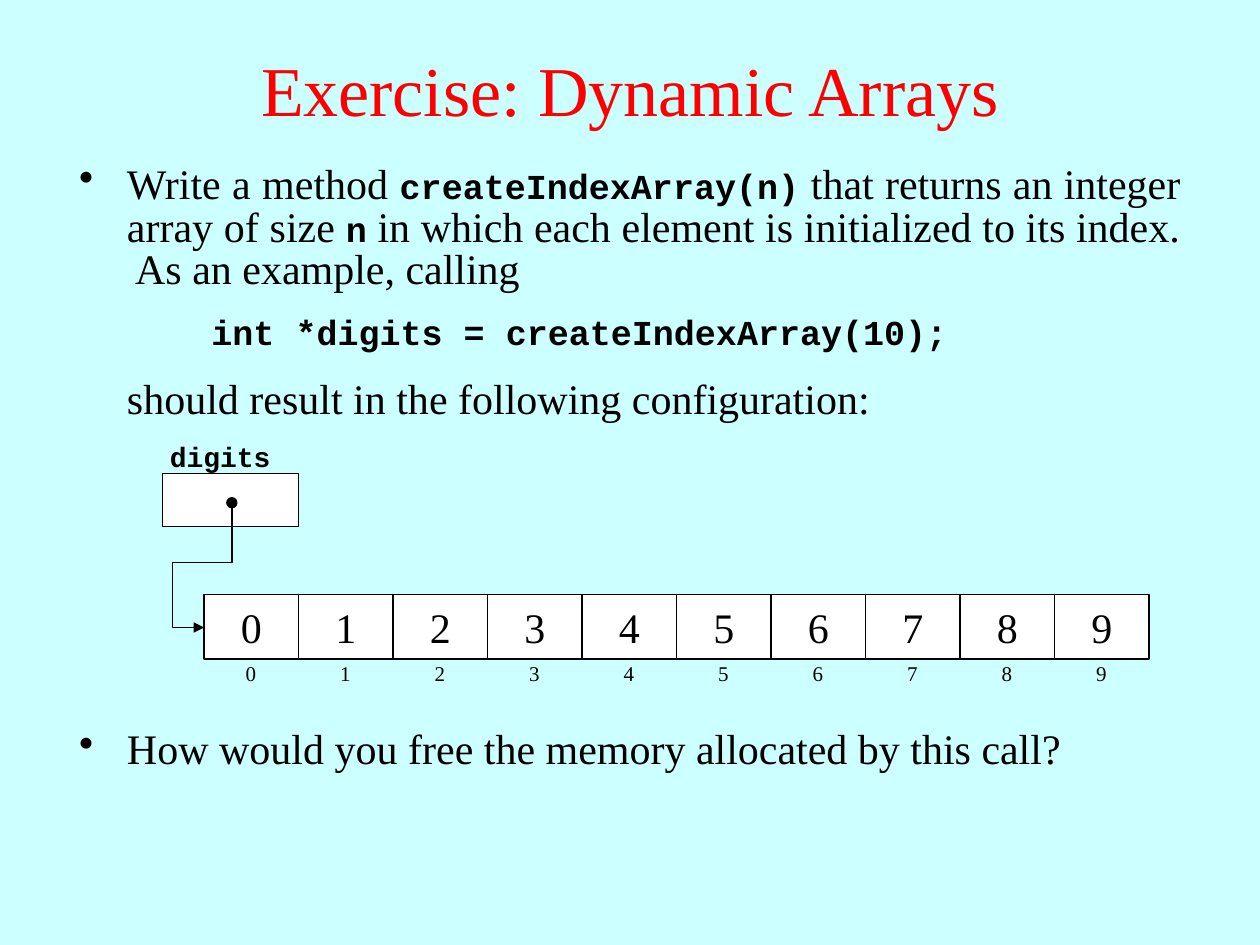
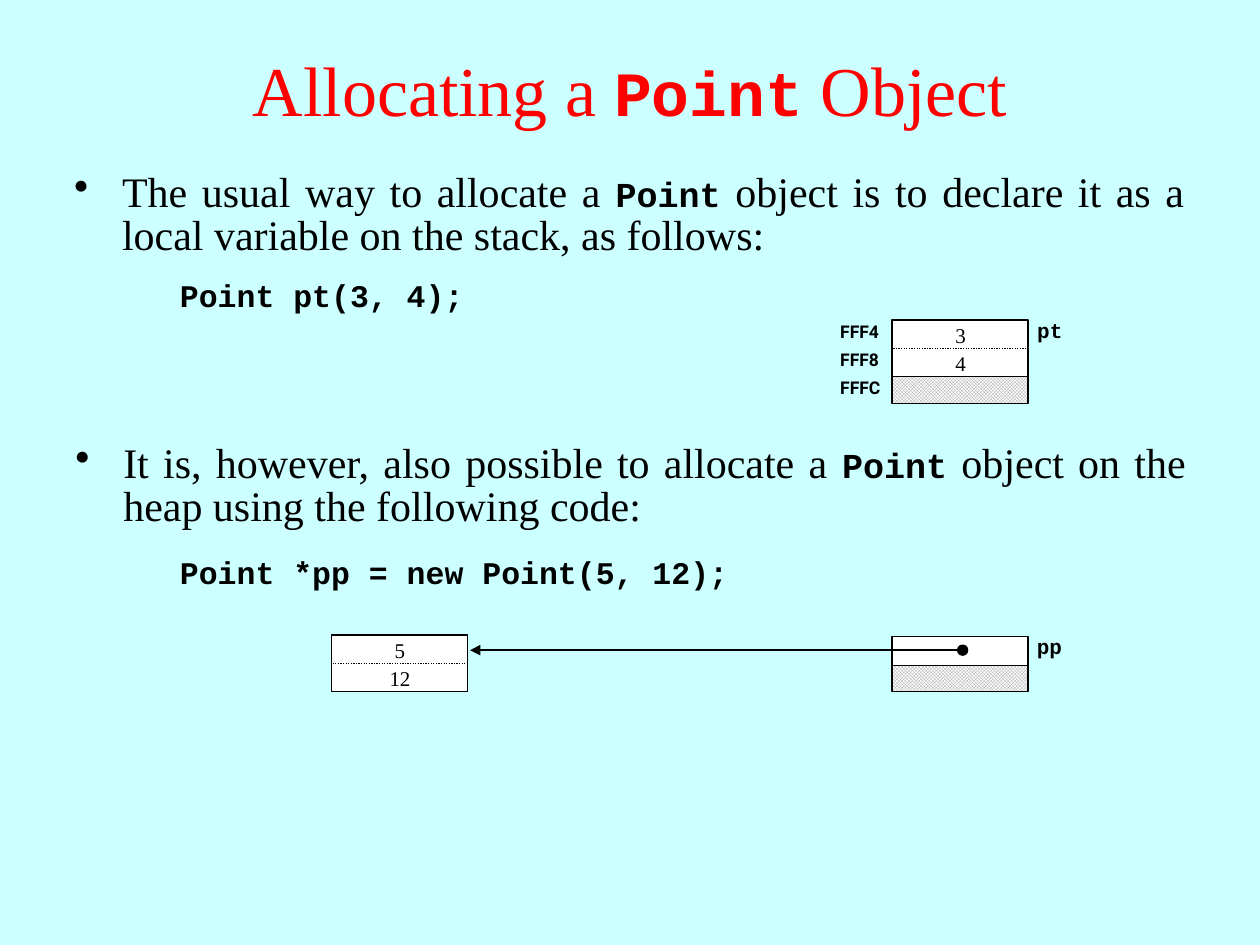
"""Build two lecture slides on dynamic arrays and object allocation."""
from dataclasses import dataclass

from lxml import etree
from pptx import Presentation, util as u
from pptx.dml.color import RGBColor
from pptx.enum import dml, shapes, text
from pptx.oxml.ns import qn


@dataclass(frozen=True)
class Theme:
    """Colours, fonts and type sizes of the deck."""
    background: str = "CCFFFF"
    title: str = "FF0000"
    ink: str = "000000"
    paper: str = "FFFFFF"
    hatch: str = "999999"
    serif: str = "Times New Roman"
    mono: str = "Courier New"
    address: str = "Roboto"
    title_size: int = 40
    title_code_size: int = 36
    body_size: int = 24
    code_size: int = 20
    short_code_size: int = 18
    name_size: int = 16
    label_size: int = 12
    address_size: int = 10
    line_width: float = 0.75
    line_spacing: float = 0.85


class Deck:
    """Draws on the current slide, measured on a 100 by 75 grid."""

    columns, rows = 100, 75

    def __init__(self, theme):
        self.theme = theme
        self.presentation = Presentation()
        self.presentation.slide_width = u.Inches(10)
        self.presentation.slide_height = u.Inches(7.5)
        self.column = self.presentation.slide_width / self.columns
        self.row = self.presentation.slide_height / self.rows

    def place(self, x, y, width, height):
        return [round(x * self.column), round(y * self.row),
                round(width * self.column), round(height * self.row)]

    def new_slide(self, title):
        self.slide = self.presentation.slides.add_slide(self.presentation.slide_layouts[6])
        fill = self.slide.background.fill
        fill.solid()
        fill.fore_color.rgb = RGBColor.from_string(self.theme.background)
        frame = self.text_box(0, 0.8, self.columns, 12.5)
        frame.vertical_anchor = text.MSO_ANCHOR.MIDDLE
        frame.paragraphs[0].alignment = text.PP_ALIGN.CENTER
        self.mixed(frame.paragraphs[0], title, self.theme.title_size,
                   self.theme.title_code_size, self.theme.title)

    def text_box(self, x, y, width, height):
        frame = self.slide.shapes.add_textbox(*self.place(x, y, width, height)).text_frame
        frame.word_wrap = True
        return frame

    def style(self, font, face, size, bold=False, color=None):
        font.name, font.size, font.bold = face, u.Pt(size), bold
        font.color.rgb = RGBColor.from_string(color or self.theme.ink)

    def mixed(self, paragraph, words, size, code_size, color=None):
        """Add runs, setting the parts between backticks as code."""
        for number, part in enumerate(words.split("`")):
            run = paragraph.add_run()
            run.text = part
            if number % 2:
                self.style(run.font, self.theme.mono, code_size, True, color)
            else:
                self.style(run.font, self.theme.serif, size, False, color)

    def body(self, words, x, y, width, height, bullet=True):
        paragraph = self.text_box(x, y, width, height).paragraphs[0]
        properties = paragraph._p.get_or_add_pPr()
        hanging = u.Inches(0.38)
        properties.set("marL", str(hanging))
        properties.set("indent", str(-hanging if bullet else 0))
        if bullet:
            etree.SubElement(properties, qn("a:buChar")).set("char", "•")
        paragraph.alignment = text.PP_ALIGN.JUSTIFY
        paragraph.line_spacing = self.theme.line_spacing
        self.mixed(paragraph, words, self.theme.body_size, self.theme.code_size)

    def label(self, words, x, y, width, height, size, face=None,
              align=text.PP_ALIGN.LEFT, spacing=1.0):
        frame = self.text_box(x, y, width, height)
        frame.text = words
        paragraph = frame.paragraphs[0]
        paragraph.alignment, paragraph.line_spacing = align, spacing
        face = face or self.theme.mono
        self.style(paragraph.runs[0].font, face, size, face != self.theme.serif)

    def outline(self, line):
        line.color.rgb = RGBColor.from_string(self.theme.ink)
        line.width = u.Pt(self.theme.line_width)

    def shape(self, x, y, width, height, color, kind=shapes.MSO_SHAPE.RECTANGLE, lined=True):
        shape = self.slide.shapes.add_shape(kind, *self.place(x, y, width, height))
        shape.shadow.inherit = False
        shape.fill.solid()
        shape.fill.fore_color.rgb = RGBColor.from_string(color)
        if lined:
            self.outline(shape.line)
        else:
            shape.line.fill.background()
        return shape

    def cell(self, words, x, y, width, height, size, lined=True):
        frame = self.shape(x, y, width, height, self.theme.paper, lined=lined).text_frame
        frame.margin_left = frame.margin_right = frame.margin_top = frame.margin_bottom = 0
        frame.vertical_anchor = text.MSO_ANCHOR.MIDDLE
        frame.text = words
        paragraph = frame.paragraphs[0]
        paragraph.alignment = text.PP_ALIGN.CENTER
        self.style(paragraph.runs[0].font, self.theme.serif, size)

    def hatched(self, x, y, width, height):
        fill = self.shape(x, y, width, height, self.theme.paper).fill
        fill.patterned()
        fill.pattern = dml.MSO_PATTERN.SMALL_CHECKER_BOARD
        fill.fore_color.rgb = RGBColor.from_string(self.theme.hatch)
        fill.back_color.rgb = RGBColor.from_string(self.theme.paper)

    def dot(self, x, y):
        self.shape(x, y, 0.8, 0.8, self.theme.ink, shapes.MSO_SHAPE.OVAL)

    def line(self, x, y, end_x, end_y, dotted=False, arrow=False):
        connector = self.slide.shapes.add_connector(
            shapes.MSO_CONNECTOR.STRAIGHT, *self.place(x, y, end_x, end_y))
        self.outline(connector.line)
        if dotted:
            connector.line.dash_style = dml.MSO_LINE.ROUND_DOT
        if arrow:
            etree.SubElement(connector.line._get_or_add_ln(), qn("a:tailEnd")).set("type", "triangle")
        etree.SubElement(connector._element.spPr, qn("a:effectLst"))
        return connector

    def bent_arrow(self, x, y, end_x, end_y, bends):
        """Draw an arrow that leaves downwards and bends twice before its end."""
        across, down = x - end_x, end_y - y
        left, top = (x + end_x - down) / 2, (y + end_y - across) / 2
        properties = self.line(left, top, left + down, top + across, arrow=True)._element.spPr
        properties.find(qn("a:xfrm")).set("rot", str(90 * 60000))
        geometry = properties.find(qn("a:prstGeom"))
        geometry.set("prst", "bentConnector4")
        guides = geometry.find(qn("a:avLst"))
        if guides is None:
            guides = etree.SubElement(geometry, qn("a:avLst"))
        for number, bend in enumerate(bends, 1):
            guide = etree.SubElement(guides, qn("a:gd"))
            guide.set("name", f"adj{number}")
            guide.set("fmla", f"val {round(bend * 100000)}")

    def point(self, values, x, y):
        """Draw a two-field record with a dotted divider."""
        step = 2.2
        self.shape(x, y, 10.8, 4.5, self.theme.paper)
        self.line(x + 0.1, y + 2.25, x + 10.8, y + 2.25, dotted=True)
        for number, value in enumerate(values):
            self.cell(value, x + 0.3, y + 0.2 + number * step, 10.3, 2,
                      self.theme.label_size, lined=False)


def dynamic_arrays(deck):
    theme = deck.theme
    deck.new_slide("Exercise: Dynamic Arrays")
    left, width = 5.3, 89.4
    deck.body("Write a method `createIndexArray(n)` that returns an integer array of size `n` "
              "in which each element is initialized to its index.  As an example, calling",
              left, 12.6, width, 8.2)
    deck.label("int *digits = createIndexArray(10);", 15.8, 24.7, 70.8, 4,
               theme.code_size, spacing=theme.line_spacing)
    deck.body("should result in the following configuration:", left, 29.7, width, 5.2, bullet=False)
    pitch = 7.5
    for index in range(10):
        cell_left = 16.2 + index * pitch
        deck.label(str(index), cell_left + 0.8, 51.9, 5.8, 3, theme.label_size,
                   theme.serif, text.PP_ALIGN.CENTER)
        deck.cell(str(index), cell_left, 47.2, pitch, 5.1, theme.body_size)
    deck.shape(12.9, 37.6, 10.8, 4.2, theme.paper)
    deck.label("digits", 12.5, 34.4, 13.1, 3.7, theme.name_size)
    deck.dot(18, 39.5)
    deck.bent_arrow(18.4, 40.3, 16.2, 49.8, (0.46, 2.13))
    deck.body("How would you free the memory allocated by this call?", left, 57.5, width, 4.9)


def point_object(deck):
    theme = deck.theme
    deck.new_slide("Allocating a `Point` Object")
    stack, heap, cell_width, cell_height = 70.8, 26.3, 10.8, 2.2
    deck.body("The usual way to allocate a `Point` object is to declare it as a local variable "
              "on the stack, as follows:", 4.9, 13.3, 90.1, 10)
    deck.label("Point pt(3, 4);", 13.3, 21.4, 26.7, 4, theme.short_code_size)
    deck.hatched(stack, 29.8, cell_width, cell_height)
    deck.point(("3", "4"), stack, 25.4)
    for number, address in enumerate(("FFF4", "FFF8", "FFFC")):
        deck.label(address, 65.7, 25 + number * cell_height, 9.2, 2.7,
                   theme.address_size, theme.address)
    deck.label("pt", 76.1, 24.7, 9.2, 3, theme.label_size, align=text.PP_ALIGN.RIGHT)

    deck.body("It is, however, also possible to allocate a `Point` object on the heap "
              "using the following code:", 5, 34.8, 90.1, 10)
    deck.label("Point *pp = new Point(5, 12);", 13.3, 43.4, 46.7, 4, theme.short_code_size)
    deck.hatched(stack, 52.7, cell_width, cell_height)
    deck.shape(stack, 50.5, cell_width, 2.3, theme.paper)
    deck.label("pp", 81.3, 49.8, 9.2, 3, theme.label_size)
    deck.point(("5", "12"), heap, 50.4)
    deck.dot(76, 51.2)
    deck.line(76.3, 51.6, 37.3, 51.6, arrow=True)


def main():
    deck = Deck(Theme())
    dynamic_arrays(deck)
    point_object(deck)
    deck.presentation.save("out.pptx")


if __name__ == "__main__":
    main()
